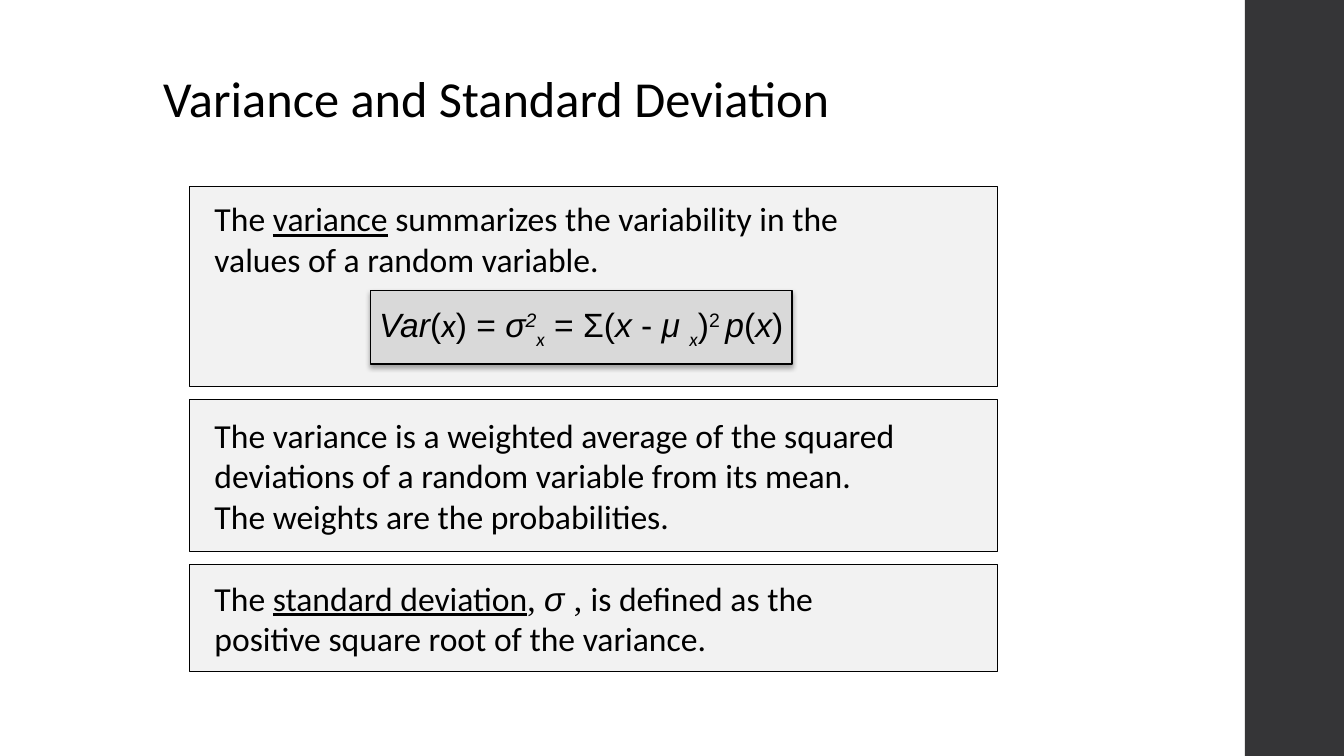
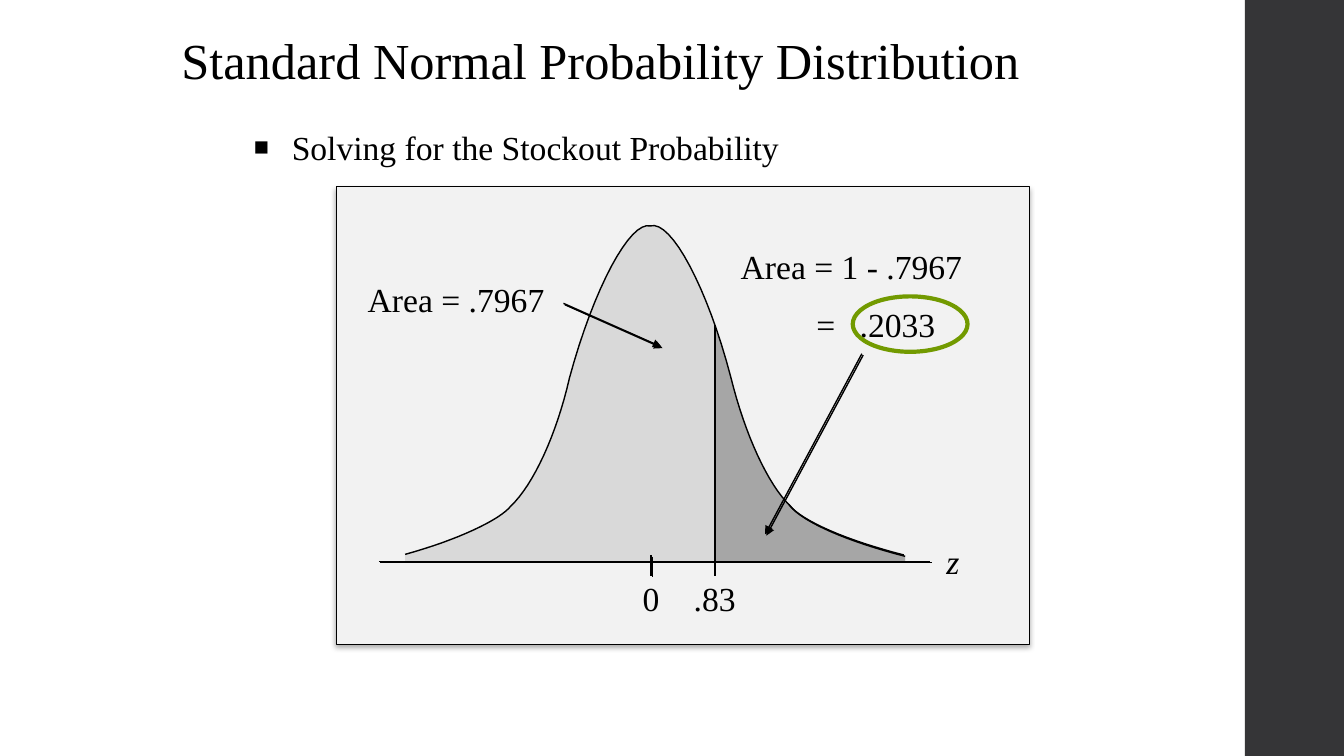
import pptx
import pptx.util
import pptx.dml.color
import pptx.enum.shapes
import pptx.enum.text
import pptx.oxml.ns
import lxml.etree

Pt = pptx.util.Pt
qn = pptx.oxml.ns.qn
SHAPE = pptx.enum.shapes.MSO_SHAPE
ALIGN = pptx.enum.text.PP_ALIGN
ANCHOR = pptx.enum.text.MSO_ANCHOR

BLACK, BAND, PANEL, LIGHT, DARK, GREEN = "000000", "353537", "F2F2F2", "D9D9D9", "A6A6A6", "729A00"
SANS, SERIF, MATH = "Calibri", "Times New Roman", "Arial"
SOFT = dict(alpha=32, blur=3.5, dist=2.2, angle=90)
HARD = dict(alpha=100, blur=0, dist=1.4, angle=45)
HARD_UP = dict(HARD, angle=225)

UNDER = dict(underline=True)
ITALIC = dict(italic=True)
SUB = dict(font=SANS, italic=True, baseline=-25)
PANEL_LEFT, PANEL_TOP, PANEL_WIDTH, PANEL_GAP = 135.2, 133.2, 577.4, 9.35
PANELS = [
    (142.6, ANCHOR.TOP, [
        [("The ", {}), ("variance", UNDER), (" summarizes the variability in the", {})],
        "values of a random variable."]),
    (108.7, ANCHOR.MIDDLE, [
        "The variance is a weighted average of the squared",
        "deviations of a random variable from its mean.",
        "The weights are the probabilities."]),
    (76.3, ANCHOR.MIDDLE, [
        [("The ", {}), ("standard deviation", UNDER), (", ", dict(font=SERIF)),
         ("σ ", dict(font=MATH, italic=True)), (", ", dict(font=SERIF)), ("is defined as the", {})],
        "positive square root of the variance."]),
]
FORMULA = [
    ("Var", ITALIC), ("(", {}), ("x", dict(font=SANS, italic=True)), (") = ", {}), ("σ", ITALIC),
    ("2", dict(italic=True, baseline=30)), ("x", SUB), (" = Σ(", {}), ("x", ITALIC), (" - ", {}),
    ("μ ", ITALIC), ("x", SUB), (")", {}), ("2 ", dict(baseline=30)), ("p", ITALIC), ("(", {}),
    ("x", ITALIC), (")", {}),
]

CURVE_START = (289.4, 396)
CURVE = [
    ((326.2, 385.9), (357.1, 371.5), (365, 361.4)),
    ((380.9, 346.3), (397.4, 311), (406.8, 270)),
    ((424.1, 205.9), (450, 157.7), (464.6, 161.4)),
    ((479.5, 157), (505.4, 205.9), (522, 269.3)),
    ((532.1, 310.3), (548.6, 346.3), (564.5, 361.4)),
    ((573.1, 373), (607, 387.4), (646.6, 397.4)),
]
STEPS = 16
AXIS_Y, CUT_X, CUT_Y = 402, 510.7, 232.3
LINES = [
    ((465.1, 396.7), (465.1, 411.1), False, HARD),
    ((402.5, 216.7), (472.3, 247.7), True, HARD),
    ((270.7, 401), (664.6, 401), False, HARD),
    ((615.6, 252.7), (546.5, 381.6), True, HARD),
    ((CUT_X, CUT_Y), (CUT_X, 411.1), False, None),
]
LABELS = [
    (450, 409, 30, "0", ALIGN.CENTER, {}),
    (485, 409, 51, ".83", ALIGN.CENTER, {}),
    (668.9, 383, 30, "z", ALIGN.LEFT, ITALIC),
    (255.6, 195.8, 150, "Area = .7967", ALIGN.LEFT, {}),
    (522, 172.1, 180, "Area = 1 - .7967", ALIGN.LEFT, {}),
]


def rgb(value):
    return pptx.dml.color.RGBColor.from_string(value)


def add_run(p, text, font=SANS, size=24, color=BLACK, italic=False, underline=False, baseline=0):
    r = p.add_run()
    r.text = text
    f = r.font
    f.name, f.size, f.italic, f.underline = font, Pt(size), italic, underline
    f.color.rgb = rgb(color)
    if baseline:
        f._element.set("baseline", str(baseline * 1000))
    return r


def write(sp, paragraphs, align=ALIGN.LEFT, anchor=ANCHOR.MIDDLE, left=7.2, top=3.6, wrap=True, **fmt):
    tf = sp.text_frame
    tf.auto_size = pptx.enum.text.MSO_AUTO_SIZE.NONE
    tf.word_wrap, tf.vertical_anchor = wrap, anchor
    tf.margin_left, tf.margin_right = Pt(left), Pt(7.2)
    tf.margin_top, tf.margin_bottom = Pt(top), Pt(3.6)
    for i, runs in enumerate(paragraphs):
        p = tf.add_paragraph() if i else tf.paragraphs[0]
        p.alignment = align
        for text, extra in [(runs, {})] if isinstance(runs, str) else runs:
            add_run(p, text, **{**fmt, **extra})
    return tf


def place(sp, x, y, w, h):
    sp.left, sp.top, sp.width, sp.height = Pt(x), Pt(y), Pt(w), Pt(h)
    return sp


def set_effect(sp, shadow):
    lst = lxml.etree.SubElement(sp.element.spPr, qn("a:effectLst"))
    if shadow:
        sh = lxml.etree.SubElement(
            lst, qn("a:outerShdw"), blurRad=str(Pt(shadow["blur"])), dist=str(Pt(shadow["dist"])),
            dir=str(shadow["angle"] * 60000), algn="ctr", rotWithShape="0")
        c = lxml.etree.SubElement(sh, qn("a:srgbClr"), val=BLACK)
        lxml.etree.SubElement(c, qn("a:alpha"), val=str(shadow["alpha"] * 1000))


def style(sp, fill=None, line=None, width=1, shadow=None):
    if fill:
        sp.fill.solid()
        sp.fill.fore_color.rgb = rgb(fill)
    else:
        sp.fill.background()
    if line:
        sp.line.color.rgb = rgb(line)
        sp.line.width = Pt(width)
    else:
        sp.line.fill.background()
    set_effect(sp, shadow)
    return sp


def add_box(slide, x, y, w, h, shape=SHAPE.RECTANGLE, **look):
    return style(slide.shapes.add_shape(shape, Pt(x), Pt(y), Pt(w), Pt(h)), **look)


def add_outline(slide, points, close=False, **look):
    emu = [(Pt(x), Pt(y)) for x, y in points]
    fb = slide.shapes.build_freeform(*emu[0])
    fb.add_line_segments(emu[1:], close=close)
    return style(fb.convert_to_shape(), **look)


def add_line(slide, start, end, arrow, shadow):
    c = slide.shapes.add_connector(pptx.enum.shapes.MSO_CONNECTOR.STRAIGHT, *map(Pt, start + end))
    c.line.color.rgb = rgb(BLACK)
    c.line.width = Pt(1)
    if arrow:
        lxml.etree.SubElement(c.element.spPr.find(qn("a:ln")), qn("a:tailEnd"), type="triangle")
    set_effect(c, shadow)


def add_title(slide, text, x, y, w, h, font):
    write(place(slide.shapes.title, x, y, w, h), [text], font=font, size=36)


def bezier(p0, p1, p2, p3):
    for i in range(1, STEPS + 1):
        t = i / STEPS
        u = 1 - t
        yield tuple(u**3 * a + 3 * u * u * t * b + 3 * u * t * t * c + t**3 * d
                    for a, b, c, d in zip(p0, p1, p2, p3))


def curve_points():
    points = [CURVE_START]
    for segment in CURVE:
        points.extend(bezier(points[-1], *segment))
    return points


def build_variance(prs):
    slide = prs.slides.add_slide(prs.slide_layouts[5])
    add_title(slide, "Variance and Standard Deviation", 109.4, 46.1, 612, 46.8, SANS)
    y = PANEL_TOP
    for height, anchor, paragraphs in PANELS:
        sp = add_box(slide, PANEL_LEFT, y, PANEL_WIDTH, height, fill=PANEL, line=BLACK, width=0.5)
        write(sp, paragraphs, anchor=anchor, left=18, top=8.5 if anchor == ANCHOR.TOP else 3.6)
        y += height + PANEL_GAP
    sp = add_box(slide, 264.6, 207.4, 301, 52.6, fill=LIGHT, line=BLACK, shadow=SOFT)
    write(sp, [FORMULA], align=ALIGN.CENTER, wrap=False, font=MATH)


def build_normal(prs):
    slide = prs.slides.add_slide(prs.slide_layouts[1])
    add_title(slide, "Standard Normal Probability Distribution", 122.4, 14.4, 645.8, 55.4, SERIF)

    body = place(slide.placeholders[1], 174.2, 90, 612, 40.3)
    tf = write(body, ["Solving for the Stockout Probability"], anchor=ANCHOR.TOP, font=SERIF)
    p = tf.paragraphs[0]
    pPr = p._p.get_or_add_pPr()
    pPr.set("marL", str(Pt(27)))
    pPr.set("indent", str(Pt(-27)))
    lxml.etree.SubElement(pPr, qn("a:buSzPct"), val="75000")
    lxml.etree.SubElement(pPr, qn("a:buChar"), char="■")
    p.line_spacing, p.space_before = 0.9, Pt(0)

    add_box(slide, 240, 133.2, 495.4, 326.9, fill=PANEL, line=BLACK, width=0.5, shadow=SOFT)
    points = curve_points()
    right_x, left_x = points[-1][0], points[0][0]
    add_outline(slide, points + [(right_x, AXIS_Y), (left_x, AXIS_Y)], close=True, fill=LIGHT)
    tail = [(CUT_X, CUT_Y)] + [pt for pt in points if pt[0] > CUT_X]
    add_outline(slide, tail + [(right_x, AXIS_Y), (CUT_X, AXIS_Y)], close=True, fill=DARK)
    add_outline(slide, points[:-STEPS], line=BLACK)
    add_outline(slide, points[-STEPS - 1:], line=BLACK, shadow=HARD_UP)

    for line in LINES:
        add_line(slide, *line)
    for x, y, w, text, align, fmt in LABELS:
        sp = slide.shapes.add_textbox(Pt(x), Pt(y), Pt(w), Pt(36))
        tf = write(sp, [text], align=align, anchor=ANCHOR.TOP, font=SERIF, **fmt)
    sp.height = Pt(77)
    p = tf.add_paragraph()
    pPr = p._p.get_or_add_pPr()
    pPr.set("marL", str(Pt(85)))
    pPr.set("indent", str(Pt(-31)))
    p.space_before = Pt(13)
    add_run(p, "=\t.2033", font=SERIF)
    add_box(slide, 609.1, 211.7, 82, 39.6, shape=SHAPE.OVAL, line=GREEN, width=3)


def add_band(prs):
    slide = prs.slides[0]
    band = add_box(slide, 889.2, 0, 70.8, 540, fill=BAND)
    prs.slide_master.shapes.element.append(band.element)


def main():
    prs = pptx.Presentation()
    prs.slide_width, prs.slide_height = Pt(960), Pt(540)
    build_variance(prs)
    build_normal(prs)
    add_band(prs)
    prs.save("out.pptx")


if __name__ == "__main__":
    main()
